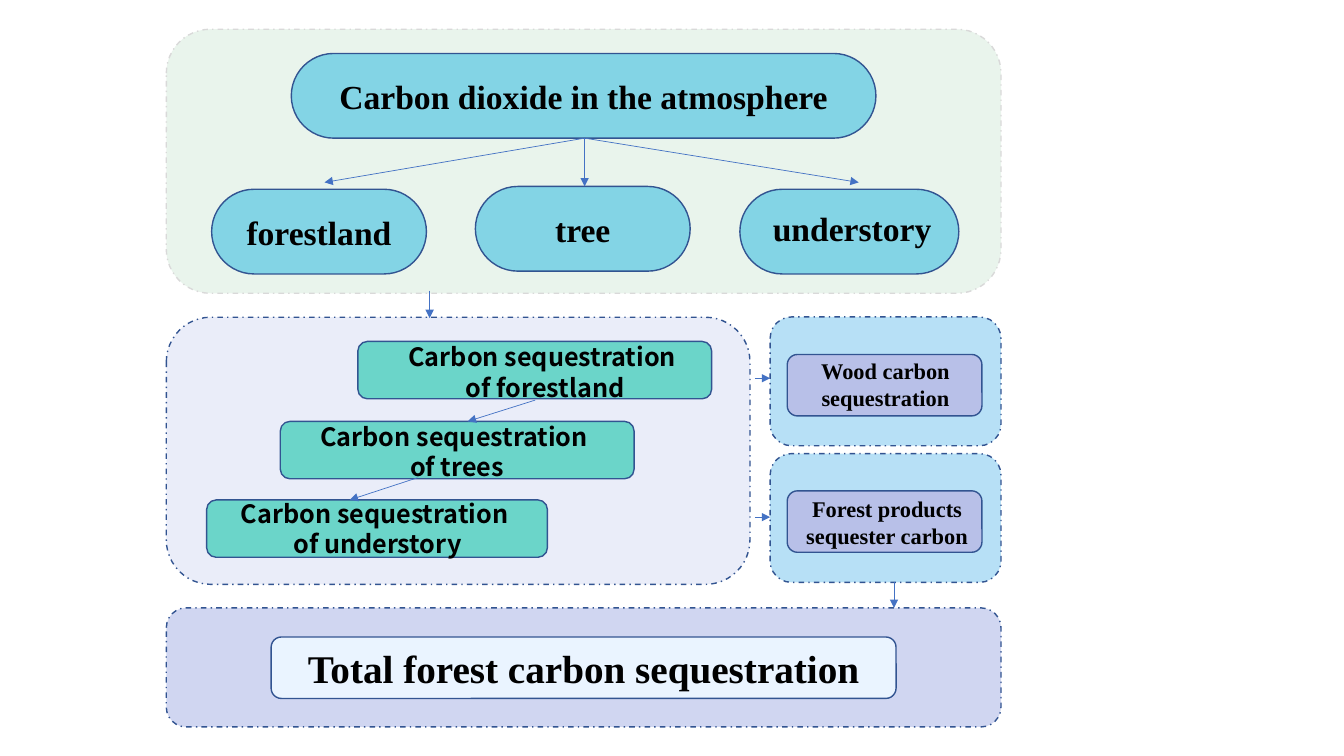
import dataclasses
import typing

import lxml.etree
import pptx
import pptx.dml.color
import pptx.enum.dml
import pptx.enum.shapes
import pptx.enum.text
import pptx.oxml
import pptx.oxml.ns
import pptx.util

Pt = pptx.util.Pt
RGBColor = pptx.dml.color.RGBColor
ANCHOR = pptx.enum.text.MSO_ANCHOR
ROUNDED = pptx.enum.shapes.MSO_SHAPE.ROUNDED_RECTANGLE
PROCESS = pptx.enum.shapes.MSO_SHAPE.FLOWCHART_ALTERNATE_PROCESS

BLACK = RGBColor(0x00, 0x00, 0x00)
NAVY = RGBColor(0x32, 0x54, 0x91)
ARROW_BLUE = RGBColor(0x44, 0x72, 0xC4)
GREY = RGBColor(0xD9, 0xD9, 0xD9)
MINT = RGBColor(0xE9, 0xF4, 0xEC)
CYAN = RGBColor(0x83, 0xD4, 0xE5)
LAVENDER = RGBColor(0xEA, 0xED, 0xF9)
TEAL = RGBColor(0x6B, 0xD5, 0xC9)
SKY = RGBColor(0xB7, 0xE0, 0xF6)
LILAC = RGBColor(0xB8, 0xC0, 0xE8)
PERIWINKLE = RGBColor(0xD0, 0xD6, 0xF1)
ICE = RGBColor(0xEA, 0xF4, 0xFF)

SERIF = "Times New Roman"
SANS = "Noto Sans CJK SC"


@dataclasses.dataclass(frozen=True)
class Frame:
    left: float
    top: float
    width: float
    height: float

    def lengths(self) -> typing.List[pptx.util.Length]:
        return [Pt(value) for value in dataclasses.astuple(self)]


@dataclasses.dataclass(frozen=True)
class Block:
    frame: Frame
    fill: RGBColor
    preset: typing.Any = PROCESS
    outline: RGBColor = NAVY
    dashed: bool = False
    rounding: typing.Optional[float] = None
    text: str = ""
    size: float = 24


@dataclasses.dataclass(frozen=True)
class Caption:
    frame: Frame
    lines: typing.Tuple[str, ...]
    size: float
    font: str = SERIF


@dataclasses.dataclass(frozen=True)
class Arrow:
    start_x: float
    start_y: float
    end_x: float
    end_y: float


def panel(frame: Frame, fill: RGBColor, outline: RGBColor = NAVY) -> Block:
    return Block(frame, fill, outline=outline, dashed=True)


def pill(left: float, top: float, width: float, text: str = "") -> Block:
    return Block(Frame(left, top, width, 60.5), CYAN, ROUNDED, rounding=0.5, text=text)


def plate(left: float, top: float, width: float, fill: RGBColor, text: str = "") -> Block:
    return Block(Frame(left, top, width, 43.9), fill, ROUNDED, text=text, size=28)


def step(left: float, top: float, width: float) -> Block:
    return Block(Frame(left, top, width, 41), TEAL)


BLOCKS = [
    panel(Frame(118.8, 434.2, 596.2, 85), PERIWINKLE),
    panel(Frame(118.8, 20.9, 596.2, 188.6), MINT, GREY),
    panel(Frame(118.8, 226.6, 416.9, 190.8), LAVENDER),
    panel(Frame(550.1, 226.4, 164.9, 92), SKY),
    panel(Frame(550.1, 324, 164.9, 92), SKY),
    pill(208.1, 38.2, 417.6, "Carbon dioxide in the atmosphere"),
    pill(151.2, 135.2, 153.4, "forestland"),
    pill(339.6, 133.2, 153.4, "tree"),
    pill(528.5, 135.2, 156.4),
    step(255.6, 243.9, 252.7),
    step(200.2, 301, 252.7),
    step(147.6, 357.1, 243.4),
    plate(193.7, 455, 446.4, ICE, "Total forest carbon sequestration"),
    plate(562.3, 253.2, 139.1, LILAC),
    plate(562.3, 350.6, 139.1, LILAC),
]

CAPTIONS = [
    Caption(Frame(530.6, 144.7, 156.2, 36), ("understory",), 24),
    Caption(Frame(267.1, 240.5, 240.5, 51), ("Carbon sequestration", " of forestland"), 18, SANS),
    Caption(Frame(192.2, 297.4, 268.6, 51), ("Carbon sequestration ", "of trees"), 18, SANS),
    Caption(Frame(133.2, 352.1, 272.9, 51), ("Carbon sequestration ", "of understory"), 18, SANS),
    Caption(Frame(568.8, 251.3, 127.4, 46), ("Wood carbon sequestration",), 16),
    Caption(Frame(564.5, 350.3, 138.2, 46), ("Forest products sequester carbon",), 16),
]

ARROWS = [
    Arrow(417.6, 98.7, 231.8, 130.3),
    Arrow(417.6, 98.7, 417.6, 133.2),
    Arrow(417.6, 98.7, 613.4, 130.3),
    Arrow(382.3, 285.8, 334.1, 301),
    Arrow(298.1, 341.3, 249.8, 357.1),
    Arrow(306.9, 207.6, 306.9, 227.2),
    Arrow(539.3, 270.2, 550.1, 270.2),
    Arrow(539.3, 369.4, 550.1, 369.4),
    Arrow(638.6, 415.6, 638.6, 434.2),
]


def apply_format(target: typing.Any, values: typing.Dict[str, typing.Any]) -> None:
    for name, value in values.items():
        setattr(target, name, value)


def write_lines(
    box: typing.Any, lines: typing.Sequence[str], size: float, font: str, anchor: typing.Any
) -> None:
    text_frame = box.text_frame
    apply_format(text_frame, {"word_wrap": True, "vertical_anchor": anchor})
    for index, line in enumerate(lines):
        para = text_frame.add_paragraph() if index else text_frame.paragraphs[0]
        para.alignment = pptx.enum.text.PP_ALIGN.CENTER
        span = para.add_run()
        span.text = line
        apply_format(span.font, {"name": font, "size": Pt(size), "bold": True})
        span.font.color.rgb = BLACK


def draw_block(page: typing.Any, block: Block) -> None:
    box = page.shapes.add_shape(block.preset, *block.frame.lengths())
    box.shadow.inherit = False
    if block.rounding is not None:
        box.adjustments[0] = block.rounding
    box.fill.solid()
    box.fill.fore_color.rgb = block.fill
    box.line.color.rgb = block.outline
    dash = pptx.enum.dml.MSO_LINE.DASH_DOT if block.dashed else None
    apply_format(box.line, {"width": Pt(1), "dash_style": dash})
    if block.text:
        write_lines(box, [block.text], block.size, SERIF, ANCHOR.MIDDLE)


def draw_caption(page: typing.Any, caption: Caption) -> None:
    box = page.shapes.add_textbox(*caption.frame.lengths())
    write_lines(box, caption.lines, caption.size, caption.font, ANCHOR.TOP)


def draw_arrow(page: typing.Any, arrow: Arrow) -> None:
    ends = [Pt(value) for value in dataclasses.astuple(arrow)]
    connector = page.shapes.add_connector(pptx.enum.shapes.MSO_CONNECTOR.STRAIGHT, *ends)
    connector.line.color.rgb = ARROW_BLUE
    connector.line.width = Pt(0.5)
    qualified = pptx.oxml.ns.qn
    properties = connector.element.spPr
    outline = properties.find(qualified("a:ln"))
    lxml.etree.SubElement(outline, qualified("a:tailEnd")).set("type", "triangle")
    lxml.etree.SubElement(properties, qualified("a:effectLst"))


def main() -> None:
    deck = pptx.Presentation()
    apply_format(deck, {"slide_width": Pt(960), "slide_height": Pt(540)})
    page = deck.slides.add_slide(deck.slide_layouts.get_by_name("Blank"))
    for block in BLOCKS:
        draw_block(page, block)
    for caption in CAPTIONS:
        draw_caption(page, caption)
    for arrow in ARROWS:
        draw_arrow(page, arrow)
    deck.save("out.pptx")


if __name__ == "__main__":
    main()
